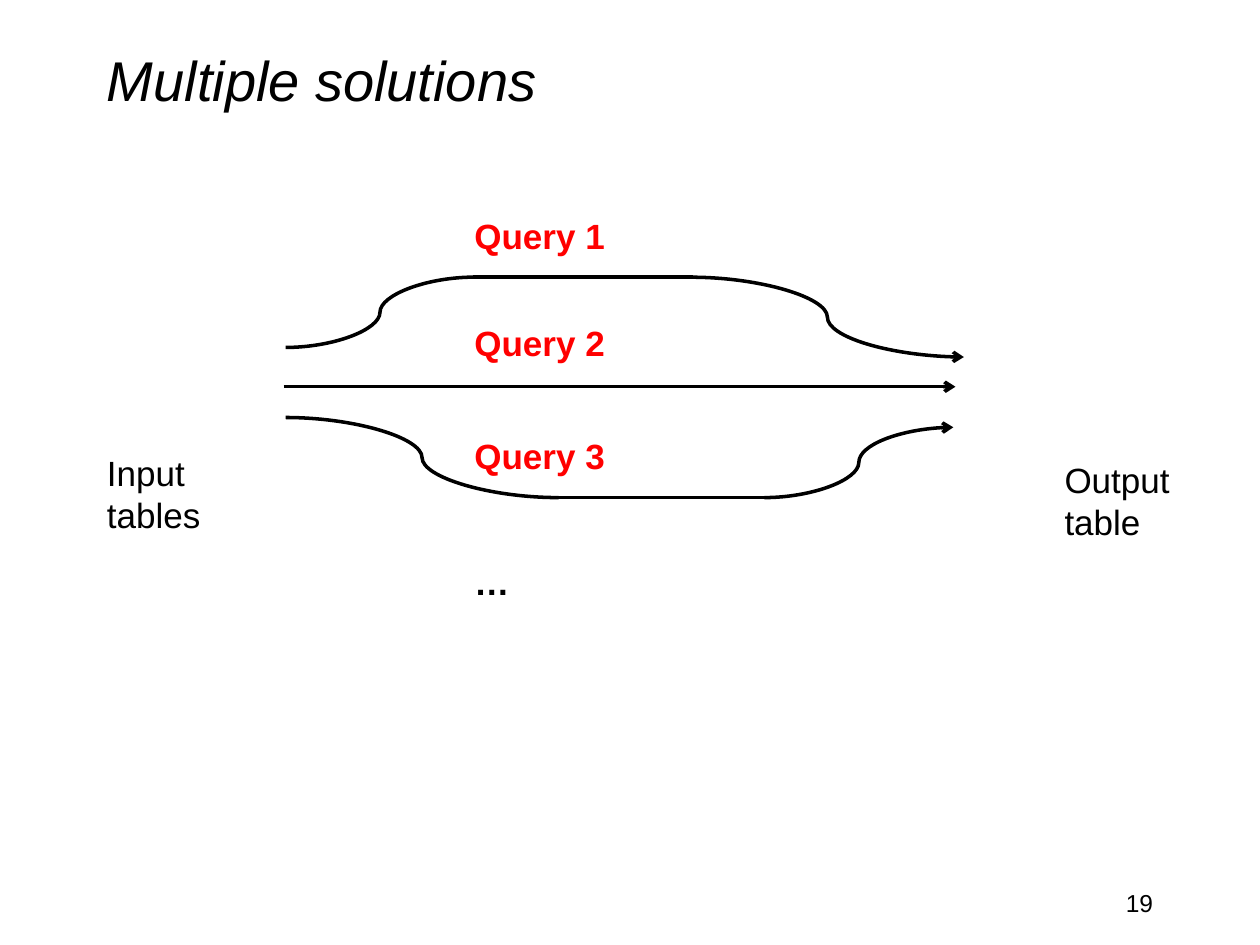
from lxml import etree
from pptx import Presentation
from pptx.dml.color import RGBColor
from pptx.enum.shapes import MSO_CONNECTOR
from pptx.enum.text import MSO_ANCHOR, PP_ALIGN
from pptx.oxml.ns import qn
from pptx.util import Pt

BLACK = RGBColor(0, 0, 0)
RED = RGBColor(255, 0, 0)
LINE, CURVE = MSO_CONNECTOR.STRAIGHT, MSO_CONNECTOR.CURVE
LEFT, RIGHT = PP_ALIGN.LEFT, PP_ALIGN.RIGHT
TOP, MIDDLE = MSO_ANCHOR.TOP, MSO_ANCHOR.MIDDLE

# Content: all lengths in points
TITLE = "Multiple solutions"
PAGE = "19"
TABLES = [  # lines, left, top
    (["Input", "tables"], 54, 254.2),
    (["Output", "table"], 601.2, 258.5),
]
QUERIES = [  # text, top, colour
    ("Query 1", 118.8, RED),
    ("Query 2", 180, RED),
    ("Query 3", 244.8, RED),
    ("…", 316.8, BLACK),
]
PATHS = [  # kind, start, end, arrow
    # Upper path
    (CURVE, (163.2, 198.6), (271.2, 158.4), False),
    (LINE, (270, 158.4), (396, 158.4), False),
    (CURVE, (394.8, 158.4), (550.8, 204), True),
    # Middle path
    (LINE, (162, 221), (546, 221), True),
    # Lower path
    (CURVE, (163.2, 238.6), (319.2, 284.4), False),
    (LINE, (312, 284.4), (438, 284.4), False),
    (CURVE, (436.8, 284.4), (544.8, 244.2), True),
]


def add_text(slide, lines, box, size, color=BLACK, bold=False, italic=False,
             align=LEFT, anchor=TOP):
    frame = slide.shapes.add_textbox(*map(Pt, box)).text_frame
    frame.word_wrap = True
    frame.vertical_anchor = anchor
    frame.text = "\n".join(lines)
    for para in frame.paragraphs:
        para.alignment = align
        font = para.font
        font.name, font.size = "Arial", Pt(size)
        font.bold, font.italic = bold, italic
        font.color.rgb = color


def add_path(slide, kind, start, end, arrow):
    link = slide.shapes.add_connector(kind, *map(Pt, start + end))
    link.line.color.rgb = BLACK
    link.line.width = Pt(2)
    props = link._element.spPr
    if arrow:
        etree.SubElement(props.find(qn("a:ln")), qn("a:tailEnd"), type="arrow")
    etree.SubElement(props, qn("a:effectLst"))


def main():
    deck = Presentation()
    deck.slide_width, deck.slide_height = Pt(720), Pt(540)
    slide = deck.slides.add_slide(deck.slide_layouts[6])

    # Title and page number
    add_text(slide, [TITLE], (54, 0, 612, 90), 32, italic=True, anchor=MIDDLE)
    add_text(slide, [PAGE], (516, 504, 150, 36), 14, align=RIGHT)

    # Tables at both ends
    for lines, left, top in TABLES:
        add_text(slide, lines, (left, top, 82.8, 55.4), 20)

    # Paths from input to output
    for path in PATHS:
        add_path(slide, *path)

    # Query labels
    for text, top, color in QUERIES:
        add_text(slide, [text], (264, top, 197, 31.5), 20, color, bold=True)

    deck.save("out.pptx")


if __name__ == "__main__":
    main()
